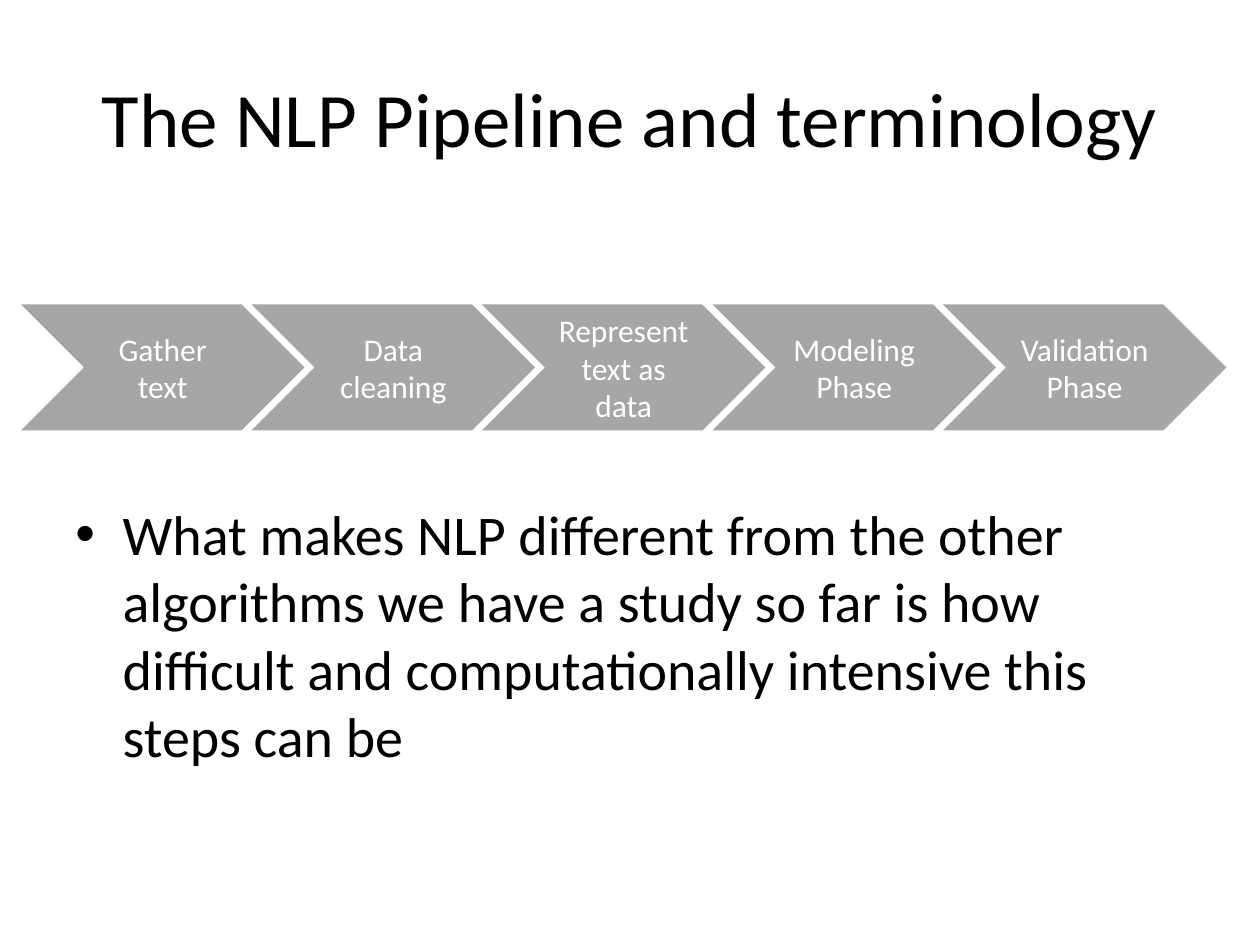
from dataclasses import dataclass

from lxml.etree import SubElement
from pptx import Presentation
from pptx.dml.color import RGBColor
from pptx.enum.shapes import MSO_SHAPE
from pptx.enum.text import MSO_ANCHOR, PP_ALIGN
from pptx.oxml.ns import qn
from pptx.util import Pt


@dataclass(frozen=True)
class Theme:
    font: str = "Calibri"
    ink: RGBColor = RGBColor(0x00, 0x00, 0x00)
    step_fill: RGBColor = RGBColor(0xA6, 0xA6, 0xA6)
    step_ink: RGBColor = RGBColor(0xFF, 0xFF, 0xFF)
    title_size: int = 44
    body_size: int = 32
    step_size: int = 18


THEME = Theme()
STEPS = ["Gather text", "Data cleaning", "Represent text as data",
         "Modeling Phase", "Validation Phase"]


def add_span(para, text, size, color):
    span = para.add_run()
    span.text = text
    span.font.name = THEME.font
    span.font.size = Pt(size)
    span.font.color.rgb = color


def add_text_box(page, box, anchor):
    """Add a wrapping text box and return its first paragraph."""
    frame = page.shapes.add_textbox(*map(Pt, box)).text_frame
    frame.word_wrap = True
    frame.vertical_anchor = anchor
    return frame.paragraphs[0]


def add_title(page, box, text):
    para = add_text_box(page, box, MSO_ANCHOR.MIDDLE)
    para.alignment = PP_ALIGN.CENTER
    add_span(para, text, THEME.title_size, THEME.ink)


def add_pipeline(page, box, steps, step_width):
    """Spread equally wide chevrons over the box, each nested in the one before."""
    left, top, width, height = box
    pitch = (width - step_width) / (len(steps) - 1)
    for index, label in enumerate(steps):
        chevron = page.shapes.add_shape(
            MSO_SHAPE.CHEVRON, Pt(left + index * pitch), Pt(top), Pt(step_width), Pt(height))
        chevron.shadow.inherit = False
        chevron.fill.solid()
        chevron.fill.fore_color.rgb = THEME.step_fill
        chevron.line.fill.background()
        frame = chevron.text_frame
        frame.word_wrap = True
        frame.vertical_anchor = MSO_ANCHOR.MIDDLE
        para = frame.paragraphs[0]
        para.alignment = PP_ALIGN.CENTER
        add_span(para, label, THEME.step_size, THEME.step_ink)


def add_bullet_text(page, box, text, indent):
    para = add_text_box(page, box, MSO_ANCHOR.TOP)
    properties = para._p.get_or_add_pPr()
    properties.set("marL", str(Pt(indent)))
    properties.set("indent", str(-Pt(indent)))
    SubElement(properties, qn("a:buFont"), typeface="Arial")
    SubElement(properties, qn("a:buChar"), char="•")
    add_span(para, text, THEME.body_size, THEME.ink)


def main():
    deck = Presentation()
    deck.slide_width, deck.slide_height = Pt(720), Pt(540)
    page = deck.slides.add_slide(deck.slide_layouts[6])
    add_title(page, (36, 21.6, 648, 90), "The NLP Pipeline and terminology")
    add_pipeline(page, (12, 174, 688.8, 72), STEPS, step_width=162)
    add_bullet_text(
        page, (36, 282, 648, 236),
        "What makes NLP different from the other algorithms we have a study so far "
        "is how difficult and computationally intensive this steps can be",
        indent=27)
    deck.save("out.pptx")


if __name__ == "__main__":
    main()
